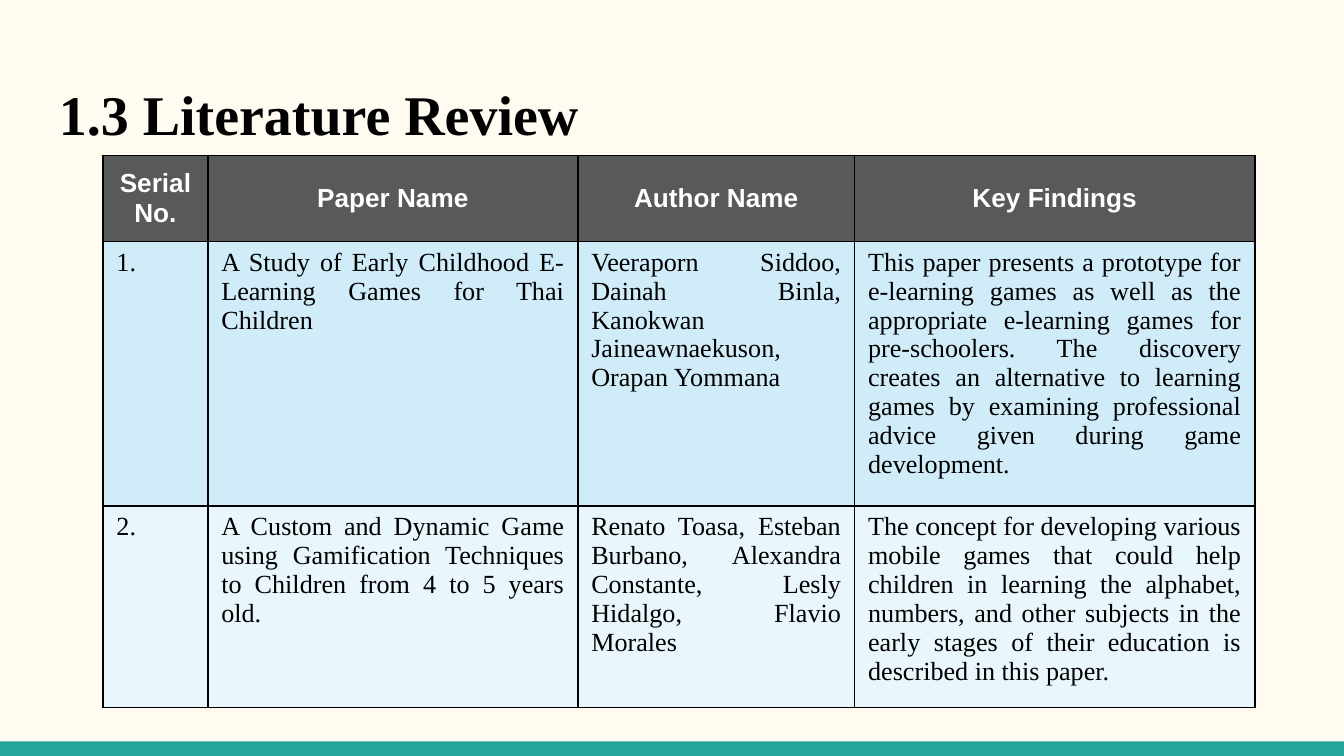
from dataclasses import dataclass

from lxml.etree import SubElement
from pptx import Presentation
from pptx.dml.color import RGBColor
from pptx.enum.shapes import MSO_SHAPE
from pptx.enum.text import MSO_ANCHOR as Anchor, PP_ALIGN as Align
from pptx.oxml.ns import qn
from pptx.util import Pt


@dataclass(frozen=True)
class Theme:
    background: str = "FFFBF0"
    accent: str = "26A69A"
    ink: str = "000000"
    header_ink: str = "FFFFFF"
    header_fill: str = "595959"
    row_fills: tuple = ("D1ECF9", "E9F6FC")
    serif: str = "Times New Roman"
    sans: str = "Arial"
    title_size: int = 30
    table_size: int = 14
    border_width: int = 1


WIDTH, HEIGHT = 720, 405
BAR_TOP = 397.2
COLUMN_WIDTHS = (56.2, 198.2, 148.3, 214.4)
ROW_HEIGHTS = (46, 131, 108)
PAPERS = [
    ("Serial No.", "Paper Name", "Author Name", "Key Findings"),
    ("1.",
     "A Study of Early Childhood E-Learning Games for Thai Children",
     "Veeraporn Siddoo, Dainah Binla, Kanokwan Jaineawnaekuson, Orapan Yommana",
     "This paper presents a prototype for e-learning games as well as the "
     "appropriate e-learning games for pre-schoolers. The discovery creates an "
     "alternative to learning games by examining professional advice given "
     "during game development."),
    ("2.",
     "A Custom and Dynamic Game using Gamification Techniques to Children "
     "from 4 to 5 years old.",
     "Renato Toasa, Esteban Burbano, Alexandra Constante, Lesly Hidalgo, "
     "Flavio Morales",
     "The concept for developing various mobile games that could help children "
     "in learning the alphabet, numbers, and other subjects in the early stages "
     "of their education is described in this paper."),
]


class SlideBuilder:
    def __init__(self, slide, theme):
        self.slide = slide
        self.theme = theme

    def paint(self, fill, color):
        fill.solid()
        fill.fore_color.rgb = RGBColor.from_string(color)

    def set_text(self, frame, text, font, size, color, bold, align):
        frame.text = text
        paragraph = frame.paragraphs[0]
        paragraph.alignment = align
        style = paragraph.runs[0].font
        style.name, style.size, style.bold = font, Pt(size), bold
        style.color.rgb = RGBColor.from_string(color)

    def background(self):
        self.paint(self.slide.background.fill, self.theme.background)

    def bar(self, left, top, width, height):
        bar = self.slide.shapes.add_shape(
            MSO_SHAPE.RECTANGLE, Pt(left), Pt(top), Pt(width), Pt(height))
        bar.shadow.inherit = False
        self.paint(bar.fill, self.theme.accent)
        bar.line.fill.background()

    def title(self, text, left, top, width, height):
        box = self.slide.shapes.add_textbox(
            Pt(left), Pt(top), Pt(width), Pt(height))
        frame = box.text_frame
        frame.word_wrap = True
        frame.margin_left = frame.margin_right = Pt(7.2)
        frame.margin_top = frame.margin_bottom = Pt(7.2)
        self.set_text(frame, text, self.theme.serif, self.theme.title_size,
                      self.theme.ink, True, Align.LEFT)

    def border(self, cell):
        properties = cell._tc.get_or_add_tcPr()
        for position, side in enumerate(("a:lnL", "a:lnR", "a:lnT", "a:lnB")):
            line = SubElement(properties, qn(side),
                              w=str(Pt(self.theme.border_width)))
            fill = SubElement(line, qn("a:solidFill"))
            SubElement(fill, qn("a:srgbClr"), val=self.theme.ink)
            properties.insert(position, line)  # borders precede the cell fill

    def table(self, rows, left, top, column_widths, row_heights):
        theme = self.theme
        table = self.slide.shapes.add_table(
            len(rows), len(column_widths), Pt(left), Pt(top),
            Pt(sum(column_widths)), Pt(sum(row_heights))).table
        for column, width in zip(table.columns, column_widths):
            column.width = Pt(width)
        for row, height in zip(table.rows, row_heights):
            row.height = Pt(height)
        fills = (theme.header_fill, *theme.row_fills)
        for r, (texts, fill) in enumerate(zip(rows, fills)):
            for c, text in enumerate(texts):
                cell = table.cell(r, c)
                self.paint(cell.fill, fill)
                self.border(cell)
                if r == 0:
                    cell.vertical_anchor = Anchor.MIDDLE
                    self.set_text(cell.text_frame, text, theme.sans,
                                  theme.table_size, theme.header_ink, True,
                                  Align.CENTER)
                else:
                    self.set_text(cell.text_frame, text, theme.serif,
                                  theme.table_size, theme.ink, False,
                                  Align.JUSTIFY)


def main():
    deck = Presentation()
    deck.slide_width, deck.slide_height = Pt(WIDTH), Pt(HEIGHT)
    builder = SlideBuilder(deck.slides.add_slide(deck.slide_layouts[6]), Theme())
    builder.background()
    builder.bar(0, BAR_TOP, WIDTH, HEIGHT - BAR_TOP)
    builder.title("1.3 Literature Review", 24.5, 35.4, 671, 48)
    builder.table(PAPERS, 55.2, 83.3, COLUMN_WIDTHS, ROW_HEIGHTS)
    deck.save("out.pptx")


if __name__ == "__main__":
    main()
